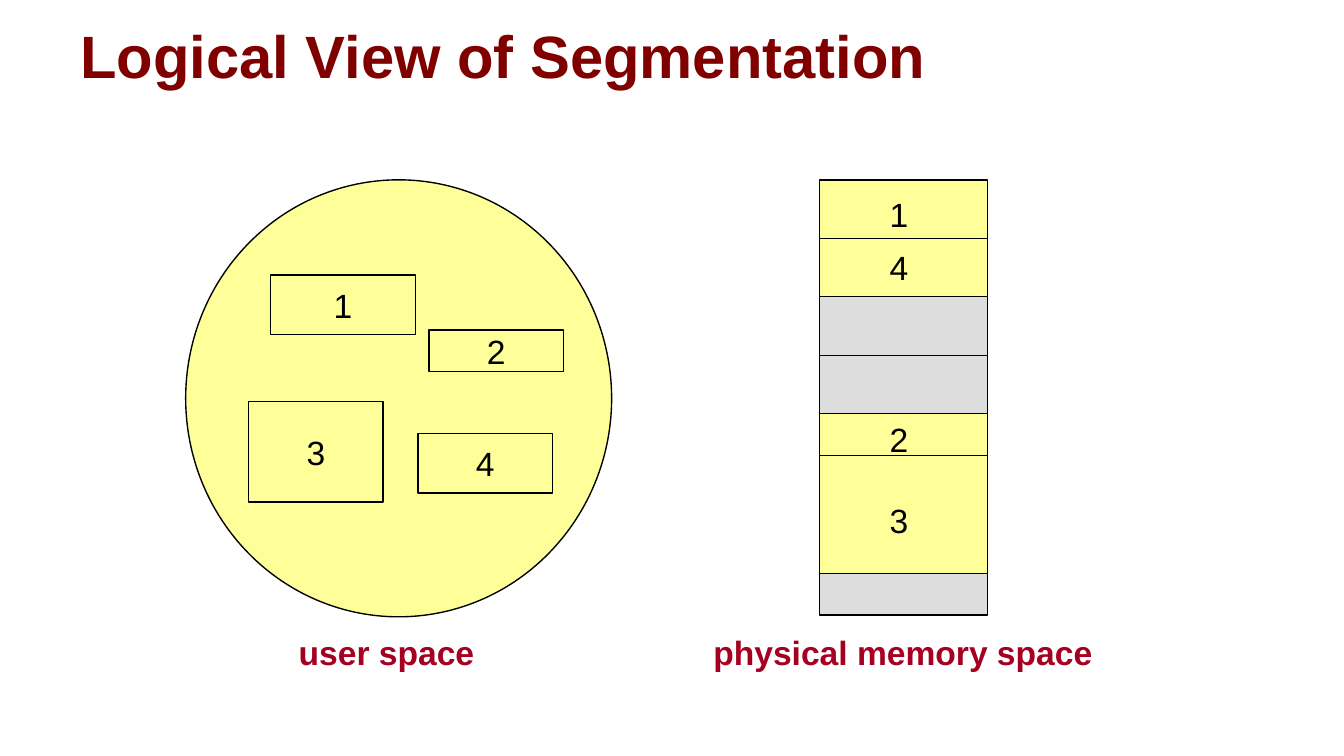
from lxml.etree import SubElement
from pptx import Presentation
from pptx.dml.color import RGBColor
from pptx.enum.shapes import MSO_CONNECTOR, MSO_SHAPE
from pptx.enum.text import MSO_ANCHOR, PP_ALIGN
from pptx.oxml.ns import qn
from pptx.util import Cm, Pt

YELLOW, GREY, BLACK = "FFFF99", "DDDDDD", "000000"
MAROON, CRIMSON = "800000", "A50021"


def rgb(value):
    """Turn a hex string into a colour."""
    return RGBColor.from_string(value)


def set_text(sp, text, size=18, color=BLACK, bold=False, align=PP_ALIGN.CENTER,
             anchor=MSO_ANCHOR.MIDDLE, wrap=False):
    """Write one formatted paragraph into a shape."""
    tf = sp.text_frame
    tf.text = text
    tf.word_wrap = wrap
    tf.vertical_anchor = anchor
    p = tf.paragraphs[0]
    p.alignment = align
    font = p.runs[0].font
    font.name, font.size, font.bold = "Arial", Pt(size), bold
    font.color.rgb = rgb(color)


def add_label(s, box, text, **style):
    """Add a text box at the given box in centimetres."""
    sp = s.shapes.add_textbox(*map(Cm, box))
    set_text(sp, text, **style)


def add_block(s, kind, box, fill, text=None):
    """Add a filled, outlined shape with an optional number."""
    sp = s.shapes.add_shape(kind, *map(Cm, box))
    sp.shadow.inherit = False
    sp.fill.solid()
    sp.fill.fore_color.rgb = rgb(fill)
    sp.line.color.rgb = rgb(BLACK)
    sp.line.width = Pt(0.75)
    if text:
        set_text(sp, text)


def add_divider(s, left, top, width):
    """Add a thin horizontal line."""
    line = s.shapes.add_connector(MSO_CONNECTOR.STRAIGHT, Cm(left), Cm(top),
                                  Cm(left + width), Cm(top))
    line.line.color.rgb = rgb(BLACK)
    line.line.width = Pt(0.75)
    SubElement(line._element.spPr, qn("a:effectLst"))


def add_title(s, box):
    """Add the slide title."""
    add_label(s, box, "Logical View of Segmentation", size=32, color=MAROON, bold=True,
              align=PP_ALIGN.LEFT, anchor=MSO_ANCHOR.BOTTOM, wrap=True)


def add_user_space(s, left, top, width, height):
    """Draw the user space circle with its segments and caption."""
    add_block(s, MSO_SHAPE.OVAL, (left, top, width, height), YELLOW)
    segments = [("1", 1.6, 1.8, 2.74, 1.12), ("3", 1.19, 4.19, 2.54, 1.9),
                ("2", 4.6, 2.84, 2.54, 0.79), ("4", 4.39, 4.8, 2.54, 1.12)]
    for number, dx, dy, w, h in segments:
        add_block(s, MSO_SHAPE.RECTANGLE, (left + dx, top + dy, w, h), YELLOW, number)
    add_label(s, (left + 1.8, top + height + 0.15, 3.99, 1.02), "user space",
              color=CRIMSON, bold=True)


def add_physical_memory(s, left, top, width, height):
    """Draw the memory column with its blocks, numbers and caption."""
    blocks = [(YELLOW, 2.21, 1.11), (GREY, 2.21, 1.11), (YELLOW, 3.02, 0.79),
              (GREY, 0.79, None)]
    y = top
    for fill, h, split in blocks:
        add_block(s, MSO_SHAPE.RECTANGLE, (left, y, width, h), fill)
        if split:
            add_divider(s, left, y + split, width)
        y += h
    for number, dy in [("1", 0.13), ("4", 1.14), ("2", 4.39), ("3", 5.92)]:
        add_label(s, (left + 1.07, top + dy, 0.86, 1.02), number)
    add_label(s, (left - 2.26, top + height + 0.18, 7.67, 1.02), "physical memory space",
              color=CRIMSON, bold=True)


def main():
    """Build and save the slide."""
    prs = Presentation()
    prs.slide_width, prs.slide_height = Cm(25.4), Cm(14.29)
    s = prs.slides.add_slide(prs.slide_layouts[6])
    add_title(s, (1.27, 0.38, 22.86, 1.45))
    add_user_space(s, 3.51, 3.4, 8.05, 8.26)
    add_physical_memory(s, 15.49, 3.4, 3.18, 8.23)
    prs.save("out.pptx")


if __name__ == "__main__":
    main()
